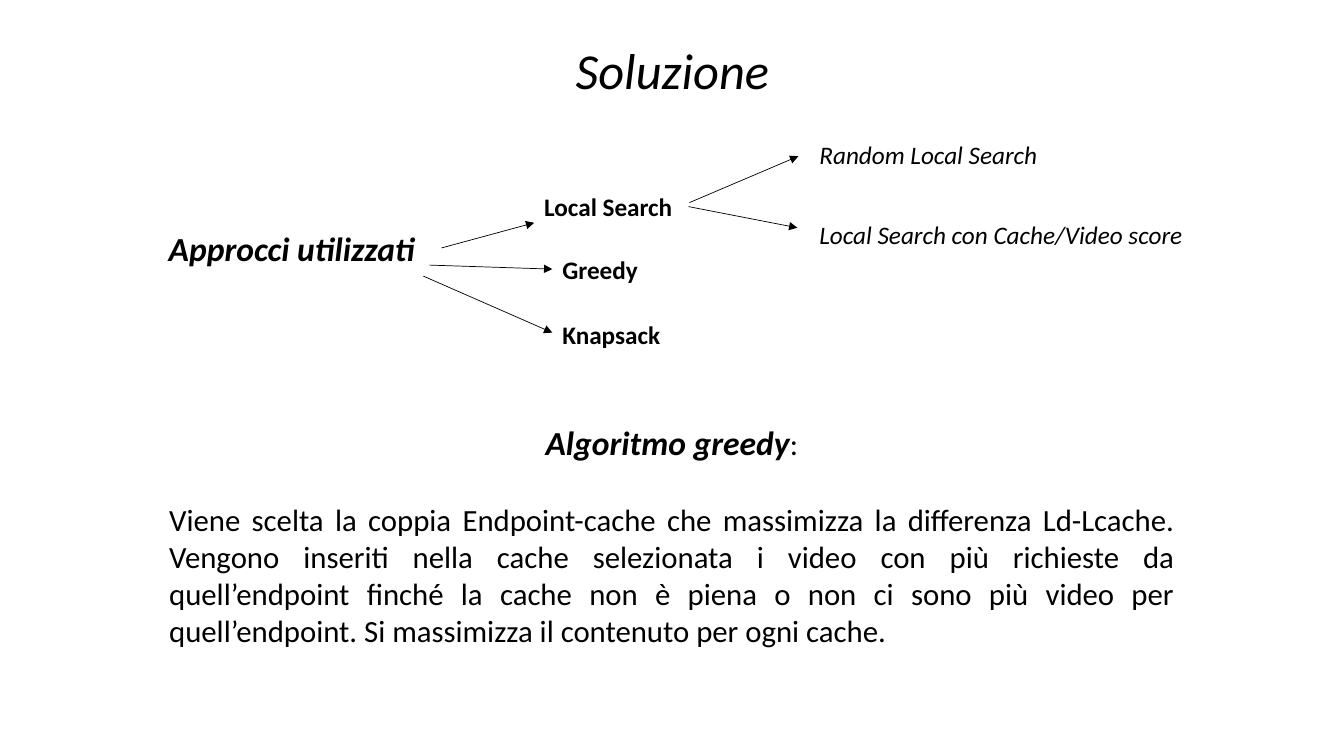
from dataclasses import dataclass

from lxml import etree
from pptx import Presentation
from pptx import util as u
from pptx.dml.color import RGBColor
from pptx.enum import shapes, text
from pptx.oxml import ns

BLACK = RGBColor(0, 0, 0)
FONT = "Calibri"
SLIDE_WIDTH, SLIDE_HEIGHT = u.Inches(13.33), u.Inches(7.5)
COLUMNS = ROWS = 100
LABEL_ROWS = 5.33
METHOD_COLUMN, VARIANT_COLUMN = 41.1, 60.23


@dataclass(frozen=True)
class Label:
    words: str
    column: float
    row: float
    columns: float
    bold: bool = False
    italic: bool = False


@dataclass(frozen=True)
class Arrow:
    start: tuple[float, float]
    end: tuple[float, float]


LABELS = [
    Label("Local Search", 39.75, 24.67, 11.48, bold=True),
    Label("Greedy", METHOD_COLUMN, 32.93, 7.2, bold=True),
    Label("Knapsack", METHOD_COLUMN, 41.6, 8.85, bold=True),
    Label("Random Local Search", VARIANT_COLUMN, 17.73, 18.23, italic=True),
    Label("Local Search con Cache/Video score", VARIANT_COLUMN, 28.4, 28.65, italic=True),
]
ARROWS = [
    Arrow((32.85, 32.8), (39.75, 29.47)),
    Arrow((31.95, 35.07), (METHOD_COLUMN, 35.6)),
    Arrow((31.5, 36.53), (METHOD_COLUMN, 44)),
    Arrow((51.3, 26.8), (59.4, 20.67)),
    Arrow((51.23, 27.33), (59.33, 30.13)),
]
DESCRIPTION = (
    "Viene scelta la coppia Endpoint-cache che massimizza la differenza Ld-Lcache. "
    "Vengono inseriti nella cache selezionata i video con più richieste da "
    "quell’endpoint finché la cache non è piena o non ci sono più video per "
    "quell’endpoint. Si massimizza il contenuto per ogni cache."
)


def across(columns: float) -> int:
    return round(SLIDE_WIDTH * columns / COLUMNS)


def down(rows: float) -> int:
    return round(SLIDE_HEIGHT * rows / ROWS)


def add_box(page, column: float, row: float, columns: float, rows: float,
            wrap: bool = True, anchor=text.MSO_ANCHOR.TOP):
    box = page.shapes.add_textbox(across(column), down(row), across(columns), down(rows))
    frame = box.text_frame
    frame.word_wrap = wrap
    frame.vertical_anchor = anchor
    return frame


def write(para, words: str, size: float, bold: bool = False, italic: bool = False,
          align=text.PP_ALIGN.CENTER) -> None:
    para.alignment = align
    span = para.add_run()
    span.text = words
    font = span.font
    font.name, font.size, font.bold, font.italic = FONT, u.Pt(size), bold, italic
    font.color.rgb = BLACK


def draw_label(page, label: Label) -> None:
    frame = add_box(page, label.column, label.row, label.columns, LABEL_ROWS, wrap=False)
    write(frame.paragraphs[0], label.words, 18, bold=label.bold, italic=label.italic,
          align=text.PP_ALIGN.LEFT)


def draw_arrow(page, arrow: Arrow) -> None:
    line = page.shapes.add_connector(
        shapes.MSO_CONNECTOR.STRAIGHT,
        across(arrow.start[0]), down(arrow.start[1]),
        across(arrow.end[0]), down(arrow.end[1]))
    line.line.color.rgb = BLACK
    line.line.width = u.Pt(0.5)
    etree.SubElement(line.line._get_or_add_ln(), ns.qn("a:tailEnd"), type="triangle")
    etree.SubElement(line._element.spPr, ns.qn("a:effectLst"))


deck = Presentation()
deck.slide_width, deck.slide_height = SLIDE_WIDTH, SLIDE_HEIGHT
page = deck.slides.add_slide(deck.slide_layouts[6])

title = add_box(page, 6.9, 0, 86.25, 19.33, anchor=text.MSO_ANCHOR.MIDDLE).paragraphs[0]
title.line_spacing = 0.9
write(title, "Soluzione", 36, italic=True)

approaches = add_box(page, -3.53, 29.47, 50.48, 6.67)
write(approaches.paragraphs[0], "Approcci utilizzati", 24, bold=True, italic=True)

algorithm = add_box(page, 11.85, 55.2, 76.28, 31.47)
heading = algorithm.paragraphs[0]
write(heading, "Algoritmo greedy", 24, bold=True, italic=True)
write(heading, ":", 22)
description = algorithm.add_paragraph()
description.space_before = u.Pt(27)
write(description, DESCRIPTION, 22, align=text.PP_ALIGN.JUSTIFY)

for label in LABELS:
    draw_label(page, label)
for arrow in ARROWS:
    draw_arrow(page, arrow)

deck.save("out.pptx")
